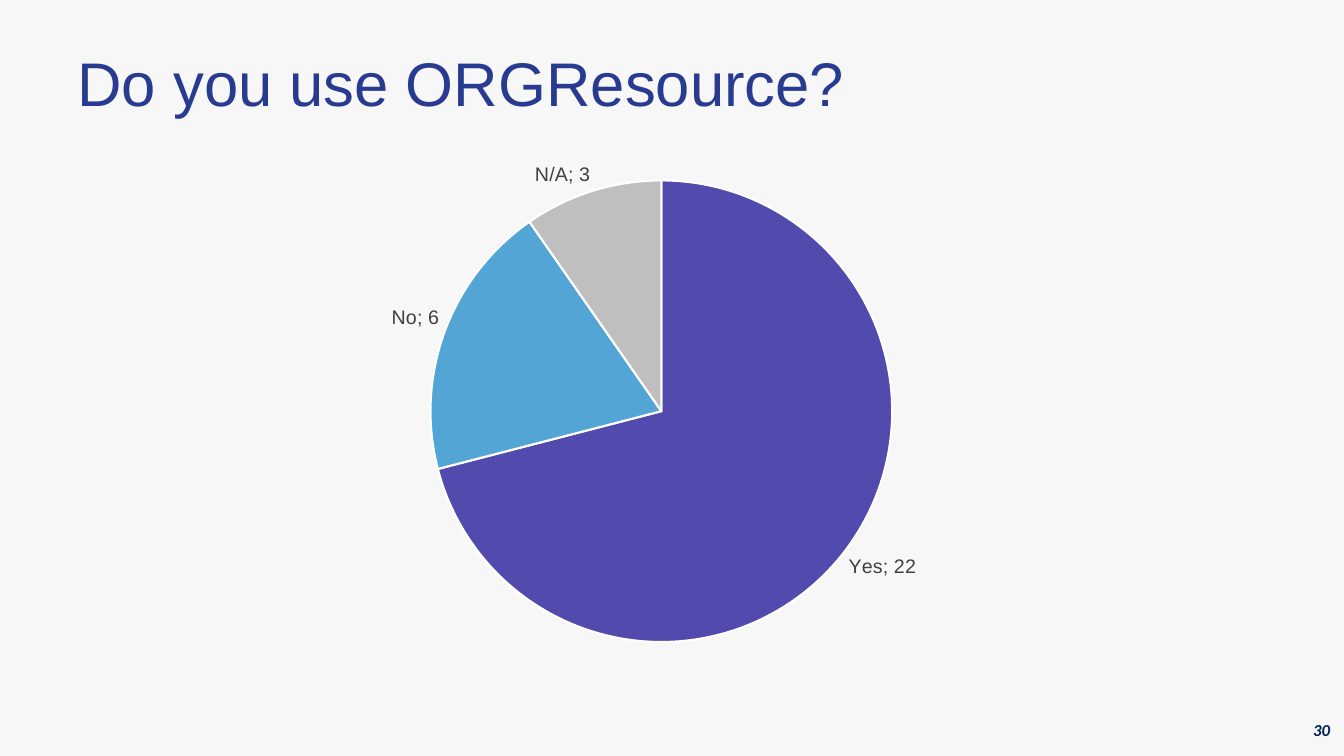
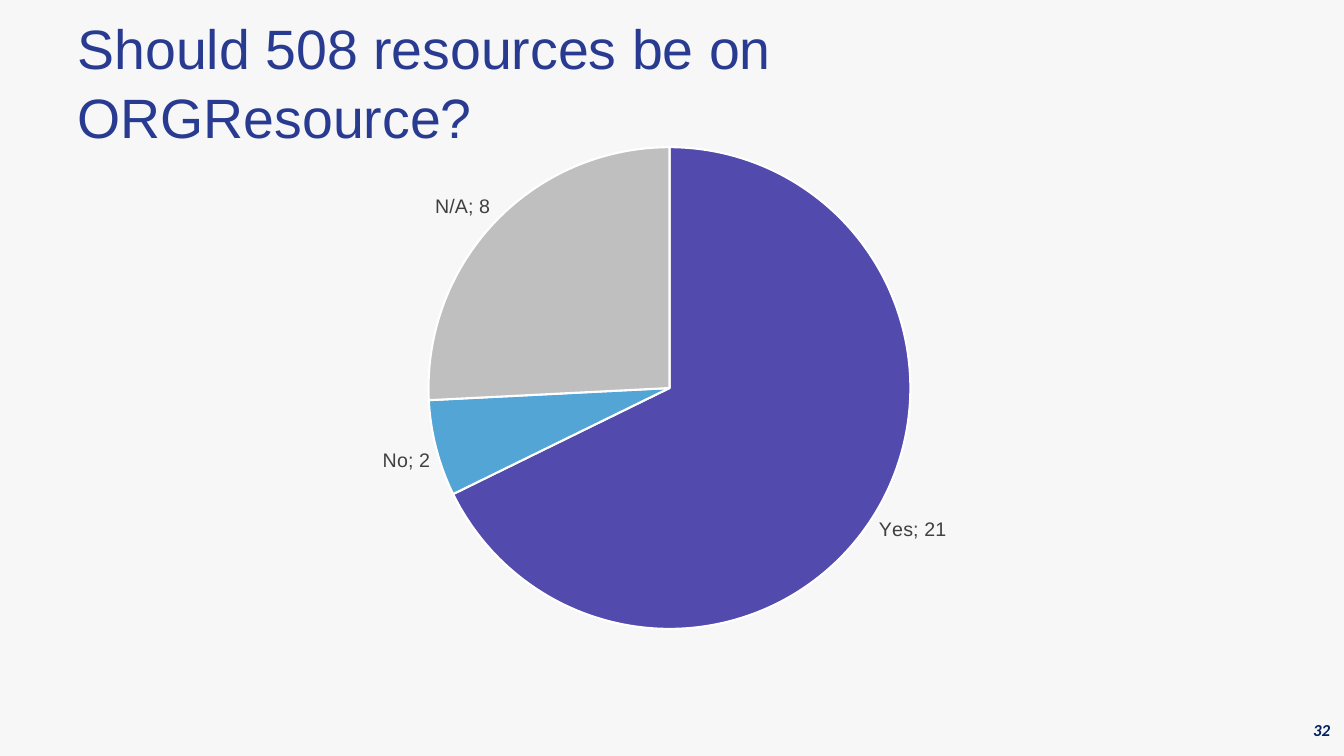
from lxml import etree
from pptx import Presentation
from pptx.chart.data import CategoryChartData
from pptx.dml.color import RGBColor
from pptx.enum.chart import XL_CHART_TYPE, XL_LABEL_POSITION
from pptx.enum.text import MSO_ANCHOR, PP_ALIGN
from pptx.oxml.ns import qn
from pptx.util import Inches, Pt

PIE = XL_CHART_TYPE.PIE
OUTSIDE_END = XL_LABEL_POSITION.OUTSIDE_END
MIDDLE = MSO_ANCHOR.MIDDLE
TOP = MSO_ANCHOR.TOP
LEFT = PP_ALIGN.LEFT
RIGHT = PP_ALIGN.RIGHT

BACKGROUND = RGBColor(0xF7, 0xF7, 0xF7)
TITLE_BLUE = RGBColor(0x28, 0x3B, 0x91)
NUMBER_NAVY = RGBColor(0x00, 0x20, 0x60)
LABEL_GREY = RGBColor(0x40, 0x40, 0x40)
BLACK = RGBColor(0x00, 0x00, 0x00)
WHITE = RGBColor(0xFF, 0xFF, 0xFF)
ANSWER_COLORS = {
    "Yes": RGBColor(0x53, 0x4A, 0xAE),
    "No": RGBColor(0x52, 0xA5, 0xD4),
    "N/A": RGBColor(0xBF, 0xBF, 0xBF),
}
TITLE_FONT = "Arial"
NUMBER_FONT = "Calibri"
NUMBER_BOX = (12.6, 7.09, 0.69, 0.4)

QUESTIONS = [
    {
        "title": "Do you use ORGResource?",
        "title_box": (0.67, 0.17, 12, 1.25),
        "title_size": 44,
        "votes": (22, 6, 3),
        "chart_box": (1.88, 1.42, 9.37, 5.1),
        "pie_box": (2.39, 0.37, 4.58),
        "number": "30",
    },
    {
        "title": "Should 508 resources be on ORGResource?",
        "title_box": (0.67, 0.17, 10.88, 1.25),
        "title_size": 39.6,
        "votes": (21, 2, 8),
        "chart_box": (1.99, 1.32, 9.35, 5.06),
        "pie_box": (2.26, 0.14, 4.78),
        "number": "32",
    },
]


def set_font(font, name, size, color):
    font.name = name
    font.size = Pt(size)
    font.color.rgb = color


def add_text(slide, box, text, anchor, align):
    frame = slide.shapes.add_textbox(*map(Inches, box)).text_frame
    frame.word_wrap = True
    frame.vertical_anchor = anchor
    paragraph = frame.paragraphs[0]
    paragraph.text = text
    paragraph.alignment = align
    return paragraph


def add_title(slide, box, text, size):
    title = add_text(slide, box, text, MIDDLE, LEFT)
    title.line_spacing = 1.05
    set_font(title.font, TITLE_FONT, size, TITLE_BLUE)


def add_slide_number(slide, box, number):
    paragraph = add_text(slide, box, number, TOP, RIGHT)
    set_font(paragraph.font, NUMBER_FONT, 12, NUMBER_NAVY)
    paragraph.font.bold = True
    paragraph.font.italic = True


def place_pie(chart, chart_box, pie_box):
    left, top, diameter = pie_box
    width, height = chart_box[2:]
    plot_area = chart.element.find(".//" + qn("c:plotArea"))
    for old_layout in plot_area.findall(qn("c:layout")):
        plot_area.remove(old_layout)
    layout = etree.Element(qn("c:layout"))
    plot_area.insert(0, layout)
    manual = etree.SubElement(layout, qn("c:manualLayout"))
    settings = {
        "layoutTarget": "inner",
        "xMode": "edge",
        "yMode": "edge",
        "x": left / width,
        "y": top / height,
        "w": diameter / width,
        "h": diameter / height,
    }
    for tag, value in settings.items():
        etree.SubElement(manual, qn("c:" + tag)).set("val", str(value))


def label_answers(series):
    labels = series.data_labels
    labels.show_value = True
    labels.show_category_name = True
    labels.position = OUTSIDE_END
    set_font(labels.font, TITLE_FONT, 14, LABEL_GREY)
    separator = etree.Element(qn("c:separator"))
    separator.text = "; "
    series.data_labels._element.find(qn("c:showBubbleSize")).addnext(separator)


def add_answer_pie(slide, box, pie_box, votes):
    answers = CategoryChartData()
    answers.categories = list(ANSWER_COLORS)
    answers.add_series("Series 1", votes)
    chart = slide.shapes.add_chart(PIE, *map(Inches, box), answers).chart
    chart.has_legend = False
    chart.has_title = False
    set_font(chart.font, TITLE_FONT, 14, BLACK)
    plot = chart.plots[0]
    plot.vary_by_categories = True
    series = plot.series[0]
    for index, color in enumerate(ANSWER_COLORS.values()):
        slice_format = series.points[index].format
        slice_format.fill.solid()
        slice_format.fill.fore_color.rgb = color
        slice_format.line.color.rgb = WHITE
        slice_format.line.width = Pt(1.5)
    label_answers(series)
    place_pie(chart, box, pie_box)


def add_question_slide(deck, question):
    slide = deck.slides.add_slide(deck.slide_layouts[6])
    slide.background.fill.solid()
    slide.background.fill.fore_color.rgb = BACKGROUND
    add_title(slide, question["title_box"], question["title"], question["title_size"])
    add_answer_pie(slide, question["chart_box"], question["pie_box"], question["votes"])
    add_slide_number(slide, NUMBER_BOX, question["number"])


def main():
    deck = Presentation()
    deck.slide_width = Inches(13.33)
    deck.slide_height = Inches(7.5)
    for question in QUESTIONS:
        add_question_slide(deck, question)
    deck.save("out.pptx")


if __name__ == "__main__":
    main()
